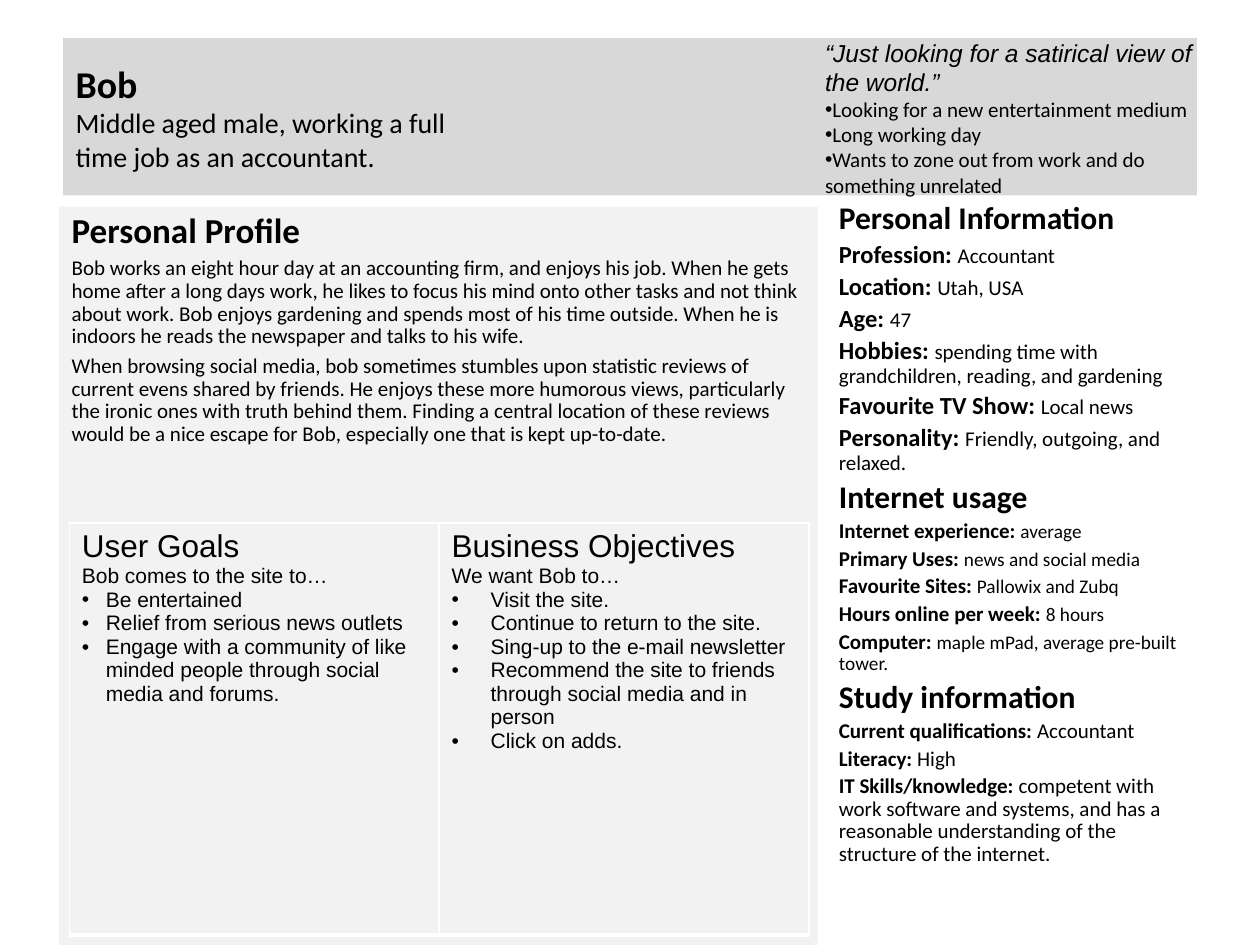
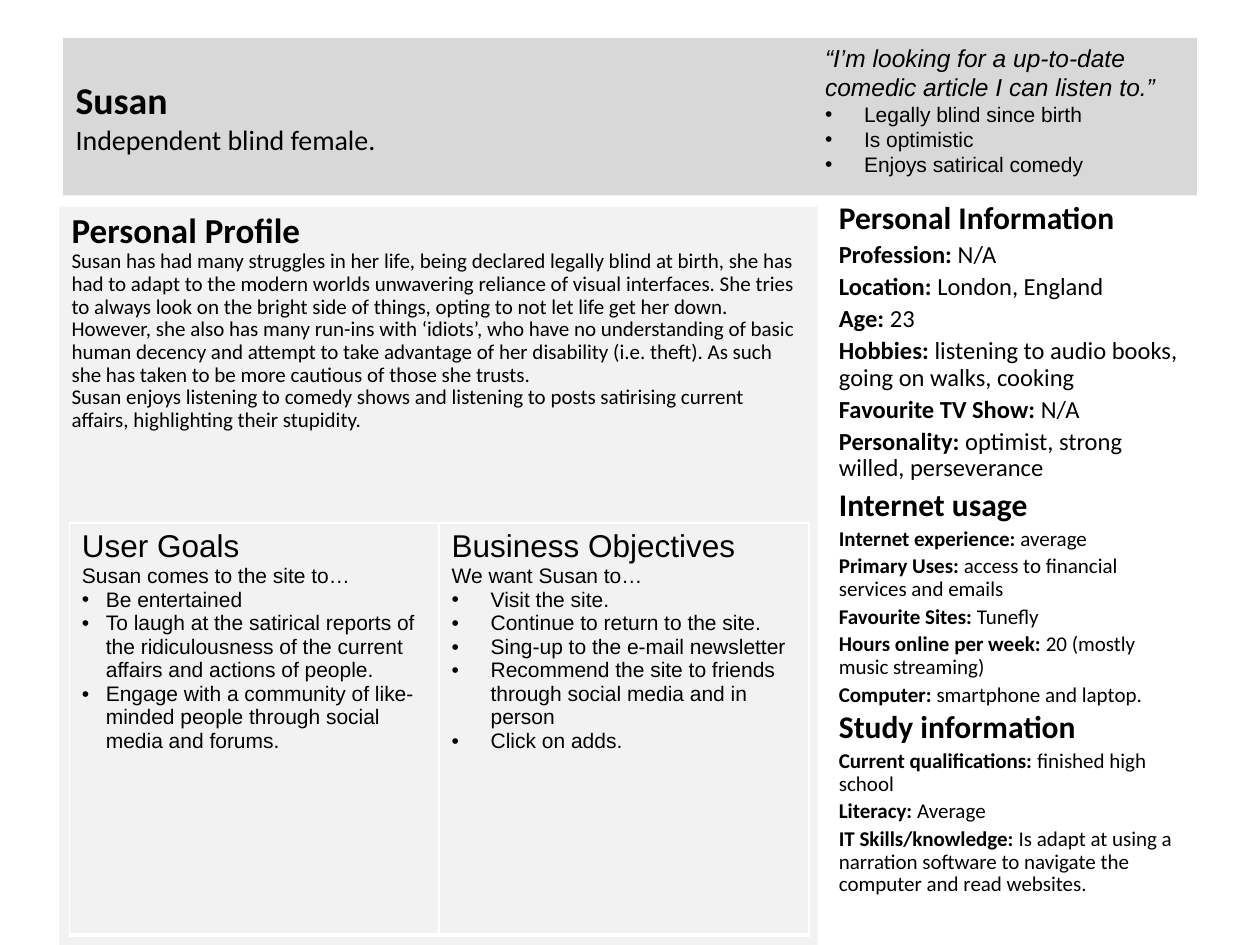
from lxml import etree
from pptx import Presentation
from pptx import util as u
from pptx.dml.color import RGBColor
from pptx.enum import text
from pptx.oxml.ns import qn

COLORS = {"ink": "000000", "band": "D8D8D8", "panel": "F2F2F2", "border": "FFFFFF"}
HEAD, BODY = "Calibri", "Arial"
OBJECTIVES = [
    "Visit the site.",
    "Continue to return to the site.",
    "Sing-up to the e-mail newsletter",
    "Recommend the site to friends through social media and in person",
    "Click on adds.",
]

# Each fact section: heading, space before heading, space before facts,
# label size, value size, facts
personas = [
    {
        "name": "Bob",
        "summary": ["Middle aged male, working a full", "time job as an accountant."],
        "quote": "“Just looking for a satirical view of the world.”",
        "traits": ["Looking for a new entertainment medium", "Long working day",
                   "Wants to zone out from work and do something unrelated"],
        "quote_top": 0.25, "trait_font": HEAD, "trait_indent": 0,
        "profile_gap": 4,
        "profile": [
            "Bob works an eight hour day at an accounting firm, and enjoys his job. When he gets "
            "home after a long days work, he likes to focus his mind onto other tasks and not "
            "think about work. Bob enjoys gardening and spends most of his time outside. When he "
            "is indoors he reads the newspaper and talks to his wife.",
            "When browsing social media, bob sometimes stumbles upon statistic reviews of current "
            "evens shared by friends. He enjoys these more humorous views, particularly the "
            "ironic ones with truth behind them. Finding a central location of these reviews "
            "would be a nice escape for Bob, especially one that is kept up-to-date.",
        ],
        "goals": ["Be entertained", "Relief from serious news outlets",
                  "Engage with a community of like minded people through social media and forums."],
        "sections": [
            ("Personal Information", 0, 3.2, 14, 12, [
                ("Profession", "Accountant"),
                ("Location", "Utah, USA"),
                ("Age", "47"),
                ("Hobbies", "spending time with grandchildren, reading, and gardening"),
                ("Favourite TV Show", "Local news"),
                ("Personality", "Friendly, outgoing, and relaxed."),
            ]),
            ("Internet usage", 4, 2.8, 12, 11, [
                ("Internet experience", "average"),
                ("Primary Uses", "news and social media"),
                ("Favourite Sites", "Pallowix and Zubq"),
                ("Hours online per week", "8 hours"),
                ("Computer", "maple mPad, average pre-built tower."),
            ]),
            ("Study information", 4, 2.8, 12, 12, [
                ("Current qualifications", "Accountant"),
                ("Literacy", "High"),
                ("IT Skills/knowledge", "competent with work software and systems, and has a "
                 "reasonable understanding of the structure of the internet."),
            ]),
        ],
    },
    {
        "name": "Susan",
        "summary": ["Independent blind female."],
        "quote": "“I’m looking for a up-to-date comedic article I can listen to.”",
        "traits": ["Legally blind since birth", "Is optimistic", "Enjoys satirical comedy"],
        "quote_top": 0.29, "trait_font": BODY, "trait_indent": 0.31,
        "profile_gap": 0,
        "profile": [
            "Susan has had many struggles in her life, being declared legally blind at birth, she "
            "has had to adapt to the modern worlds unwavering reliance of visual interfaces. She "
            "tries to always look on the bright side of things, opting to not let life get her "
            "down. However, she also has many run-ins with ‘idiots’, who have no understanding of "
            "basic human decency and attempt to take advantage of her disability (i.e. theft). As "
            "such she has taken to be more cautious of those she trusts.",
            "Susan enjoys listening to comedy shows and listening to posts satirising current "
            "affairs, highlighting their stupidity.",
        ],
        "goals": ["Be entertained",
                  "To laugh at the satirical reports of the ridiculousness of the current affairs "
                  "and actions of people.",
                  "Engage with a community of like-minded people through social media and forums."],
        "sections": [
            ("Personal Information", 0, 3.2, 14, 14, [
                ("Profession", "N/A"),
                ("Location", "London, England"),
                ("Age", "23"),
                ("Hobbies", "listening to audio books, going on walks, cooking"),
                ("Favourite TV Show", "N/A"),
                ("Personality", "optimist, strong willed, perseverance"),
            ]),
            ("Internet usage", 4, 2.8, 12, 12, [
                ("Internet experience", "average"),
                ("Primary Uses", "access to financial services and emails"),
                ("Favourite Sites", "Tunefly"),
                ("Hours online per week", "20 (mostly music streaming)"),
                ("Computer", "smartphone and laptop."),
            ]),
            ("Study information", 2.8, 2.8, 12, 12, [
                ("Current qualifications", "finished high school"),
                ("Literacy", "Average"),
                ("IT Skills/knowledge", "Is adapt at using a narration software to navigate the "
                 "computer and read websites."),
            ]),
        ],
    },
]


def add_para(frame, spans, font=HEAD, before=0, spacing=1.0, bullet_indent=None, italic=False):
    """Add one paragraph of (text, size, bold) spans; "\n" as text breaks the line."""
    para = frame.paragraphs[0]
    if para.runs:
        para = frame.add_paragraph()
    para.alignment = text.PP_ALIGN.LEFT
    para.space_before = u.Pt(before)
    para.line_spacing = spacing
    for words, size, bold in spans:
        if words == "\n":
            para.add_line_break()
            etree.SubElement(para._p[-1], qn("a:rPr"), sz=str(int(size * 100)))
            continue
        span = para.add_run()
        span.text = words
        span.font.name, span.font.size = font, u.Pt(size)
        span.font.bold, span.font.italic = bold, italic
        span.font.color.rgb = RGBColor.from_string(COLORS["ink"])
    if bullet_indent is not None:
        props = para._p.get_or_add_pPr()
        props.set("marL", str(u.Inches(bullet_indent)))
        props.set("indent", str(-u.Inches(bullet_indent)))
        etree.SubElement(props, qn("a:buFont"), typeface=BODY)
        etree.SubElement(props, qn("a:buChar"), char="•")


def place(box, left, top, width, height, fill=None):
    """Position a text shape, fill it and return its wrapping text frame."""
    box.left, box.top = u.Inches(left), u.Inches(top)
    box.width, box.height = u.Inches(width), u.Inches(height)
    if fill:
        box.fill.solid()
        box.fill.fore_color.rgb = RGBColor.from_string(COLORS[fill])
    frame = box.text_frame
    frame.word_wrap = True
    frame.auto_size = text.MSO_AUTO_SIZE.NONE
    return frame


deck = Presentation()
deck.slide_width, deck.slide_height = u.Inches(10), u.Inches(7.5)

for persona in personas:
    page = deck.slides.add_slide(deck.slide_layouts[5])

    # Title band
    frame = place(page.shapes.title, 0.5, 0.3, 9, 1.25, "band")
    frame.vertical_anchor = text.MSO_ANCHOR.MIDDLE
    spans = [(persona["name"], 21.6, True)]
    for line in persona["summary"]:
        spans += [("\n", 16, False), (line, 16, False)]
    add_para(frame, spans)

    # Personal profile panel
    frame = place(page.shapes.add_textbox(0, 0, 0, 0), 0.47, 1.64, 6.02, 5.86, "panel")
    add_para(frame, [("Personal Profile", 20, True)], spacing=0.9)
    for story in persona["profile"]:
        add_para(frame, [(story, 12, False)], before=persona["profile_gap"], spacing=0.9)

    # Facts column
    frame = place(page.shapes.add_textbox(0, 0, 0, 0), 6.56, 1.56, 2.97, 5.94)
    for heading, head_gap, gap, label_size, value_size, facts in persona["sections"]:
        add_para(frame, [(heading, 18, True)], before=head_gap, spacing=0.9)
        for label, value in facts:
            add_para(frame, [(f"{label}: ", label_size, True), (value, value_size, False)],
                     before=gap, spacing=0.9)

    # Goals and objectives table
    table = page.shapes.add_table(1, 2, u.Inches(0.55), u.Inches(4.15),
                                  u.Inches(5.87), u.Inches(3.27)).table
    table.first_row = table.horz_banding = False
    columns = [
        ("User Goals", f"{persona['name']} comes to the site to…", persona["goals"], 0.19),
        ("Business Objectives", f"We want {persona['name']} to…", OBJECTIVES, 0.31),
    ]
    for cell, (heading, lead, items, indent) in zip(table.rows[0].cells, columns):
        for side, points in (("lnL", 1), ("lnR", 1), ("lnT", 1), ("lnB", 3)):
            edge = etree.SubElement(cell._tc.get_or_add_tcPr(), qn(f"a:{side}"),
                                    w=str(u.Pt(points)))
            paint = etree.SubElement(edge, qn("a:solidFill"))
            etree.SubElement(paint, qn("a:srgbClr"), val=COLORS["border"])
        cell.fill.solid()
        cell.fill.fore_color.rgb = RGBColor.from_string(COLORS["panel"])
        add_para(cell.text_frame, [(heading, 18, False)], BODY)
        add_para(cell.text_frame, [(lead, 12, False)], BODY)
        for item in items:
            add_para(cell.text_frame, [(item, 12, False)], BODY, bullet_indent=indent)

    # Quote and traits
    frame = place(page.shapes.add_textbox(0, 0, 0, 0), 6.45, persona["quote_top"], 3.2, 1.35)
    add_para(frame, [(persona["quote"], 14, False)], BODY, italic=True)
    for trait in persona["traits"]:
        add_para(frame, [(trait, 12, False)], persona["trait_font"],
                 bullet_indent=persona["trait_indent"])

deck.save("out.pptx")
